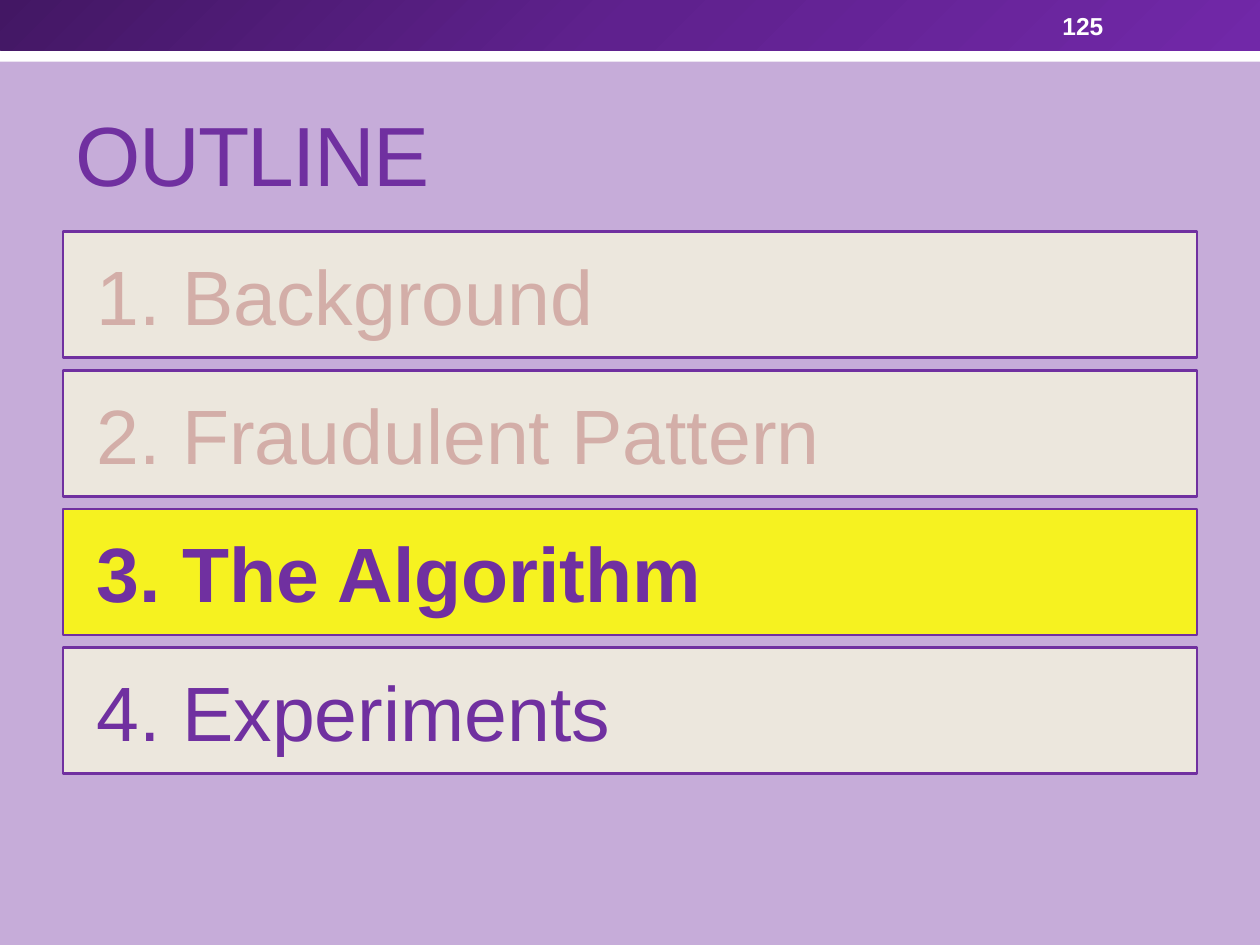
from copy import deepcopy

from pptx import Presentation
from pptx.dml.color import RGBColor
from pptx.enum.shapes import MSO_SHAPE
from pptx.enum.text import MSO_ANCHOR, PP_ALIGN
from pptx.oxml.ns import qn
from pptx.oxml.xmlchemy import OxmlElement
from pptx.util import Pt

RECTANGLE = MSO_SHAPE.RECTANGLE
MIDDLE = MSO_ANCHOR.MIDDLE
BOTTOM = MSO_ANCHOR.BOTTOM
LEFT = PP_ALIGN.LEFT

PURPLE = "7030A0"
LILAC = "C6ACD9"
WHITE = "FFFFFF"
CREAM = "F3F2DE"
YELLOW = "FFFF00"
FADED = "D3AEA8"

MARGIN = 36
CONTENT_WIDTH = 648
TOPIC_TOP = 132.5
TOPIC_HEIGHT = 72
TOPIC_PITCH = 79.2
TOPICS = [
    ("1. Background", CREAM, FADED, False),
    ("2. Fraudulent Pattern", CREAM, FADED, False),
    ("3. The Algorithm", YELLOW, PURPLE, True),
    ("4. Experiments", CREAM, PURPLE, False),
]
HEADER_STOPS = [(0, "431764"), (0.5, "5F218E"), (1, "7128A8")]


def color(value):
    return RGBColor.from_string(value)


def set_text(shape, text, text_color, anchor, font_format, inset=7.2):
    frame = shape.text_frame
    frame_format = {
        "word_wrap": True,
        "vertical_anchor": anchor,
        "margin_left": Pt(inset),
        "margin_right": Pt(7.2),
        "margin_top": Pt(3.6),
        "margin_bottom": Pt(3.6),
    }
    for name, value in frame_format.items():
        setattr(frame, name, value)
    paragraph = frame.paragraphs[0]
    paragraph.alignment = LEFT
    run = paragraph.add_run()
    run.text = text
    for name, value in {"name": "Arial", **font_format}.items():
        setattr(run.font, name, value)
    run.font.color.rgb = color(text_color)
    return run


def add_rectangle(slide, left, top, width, height, fill):
    shape = slide.shapes.add_shape(RECTANGLE, Pt(left), Pt(top), Pt(width), Pt(height))
    shape.shadow.inherit = False
    shape.fill.solid()
    shape.fill.fore_color.rgb = color(fill)
    shape.line.fill.background()
    return shape


def set_gradient(shape, stops):
    shape.fill.gradient()
    shape.fill.gradient_angle = 315
    stop_list = shape.element.spPr.find(".//" + qn("a:gsLst"))
    stop_list.append(deepcopy(stop_list[0]))
    for stop, (position, value) in zip(shape.fill.gradient_stops, stops):
        stop.position = position
        stop.color.rgb = color(value)


def set_opacity(shape, percent):
    alpha = OxmlElement("a:alpha")
    alpha.set("val", str(percent * 1000))
    shape.element.spPr.find(qn("a:solidFill"))[0].append(alpha)


def add_header(slide):
    add_rectangle(slide, 0, 17.3, 720, 18, WHITE)
    band = add_rectangle(slide, 0, 0, 720, 28.8, PURPLE)
    set_gradient(band, HEADER_STOPS)
    number = slide.shapes.add_textbox(Pt(600), Pt(1.5), Pt(84), Pt(26))
    set_text(number, "125", WHITE, MIDDLE, {"size": Pt(14), "bold": True})


def set_title(slide, text):
    title = slide.shapes.title
    position = {
        "left": Pt(MARGIN),
        "top": Pt(41.8),
        "width": Pt(CONTENT_WIDTH),
        "height": Pt(77.8),
    }
    for name, value in position.items():
        setattr(title, name, value)
    run = set_text(title, text, PURPLE, BOTTOM, {"size": Pt(48), "bold": False})
    run.font._element.set("spc", "-100")


def add_topic(slide, index, text, fill, text_color, bold):
    top = TOPIC_TOP + index * TOPIC_PITCH
    box = add_rectangle(slide, MARGIN, top, CONTENT_WIDTH, TOPIC_HEIGHT, fill)
    set_opacity(box, 85)
    box.line.color.rgb = color(PURPLE)
    box.line.width = Pt(1.5)
    set_text(box, text, text_color, MIDDLE, {"size": Pt(44), "bold": bold}, inset=19.4)


def main():
    presentation = Presentation()
    presentation.slide_width = Pt(720)
    presentation.slide_height = Pt(540)
    slide = presentation.slides.add_slide(presentation.slide_layouts[5])
    slide.background.fill.solid()
    slide.background.fill.fore_color.rgb = color(LILAC)
    add_header(slide)
    set_title(slide, "OUTLINE")
    for index, topic in enumerate(TOPICS):
        add_topic(slide, index, *topic)
    presentation.save("out.pptx")


if __name__ == "__main__":
    main()
